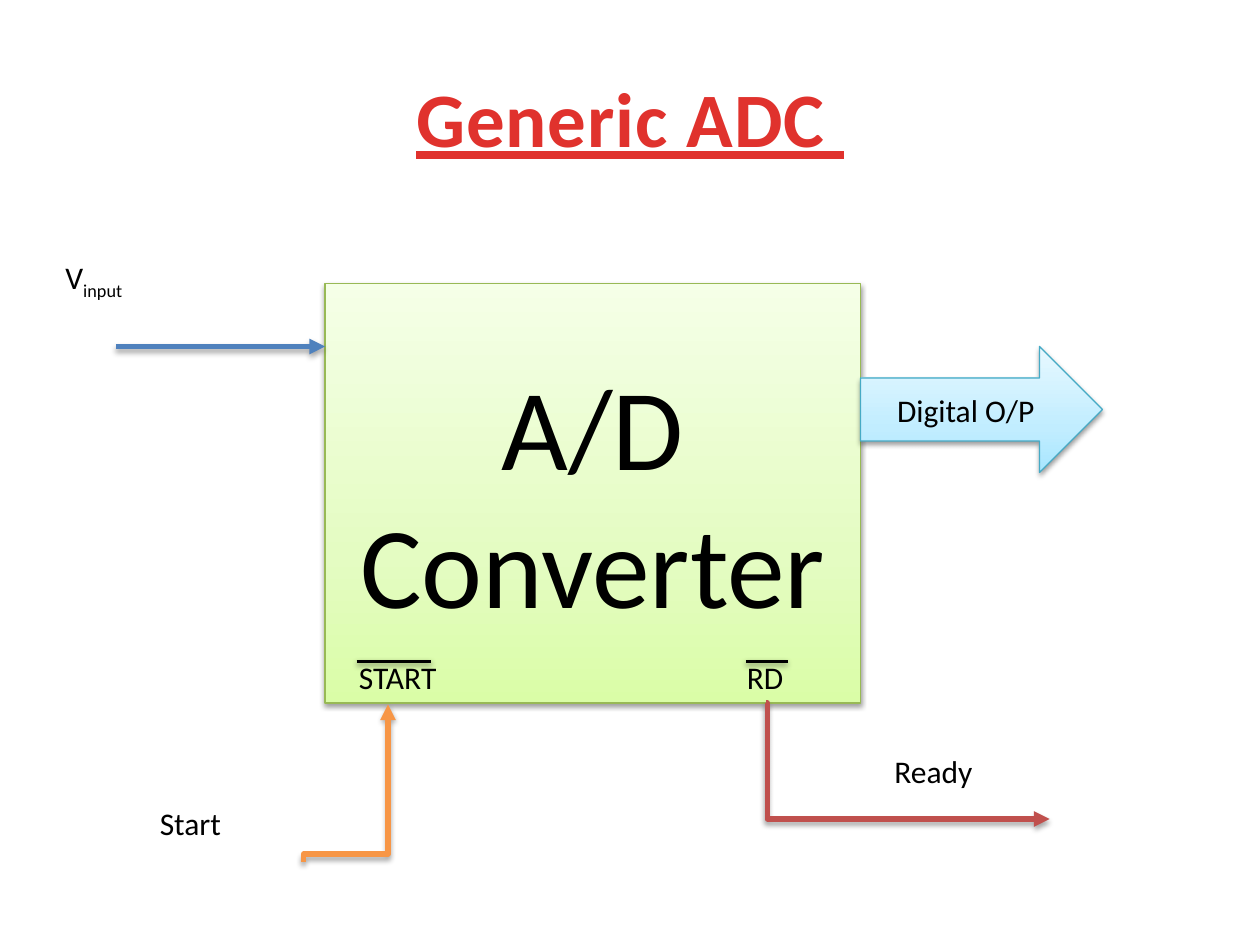
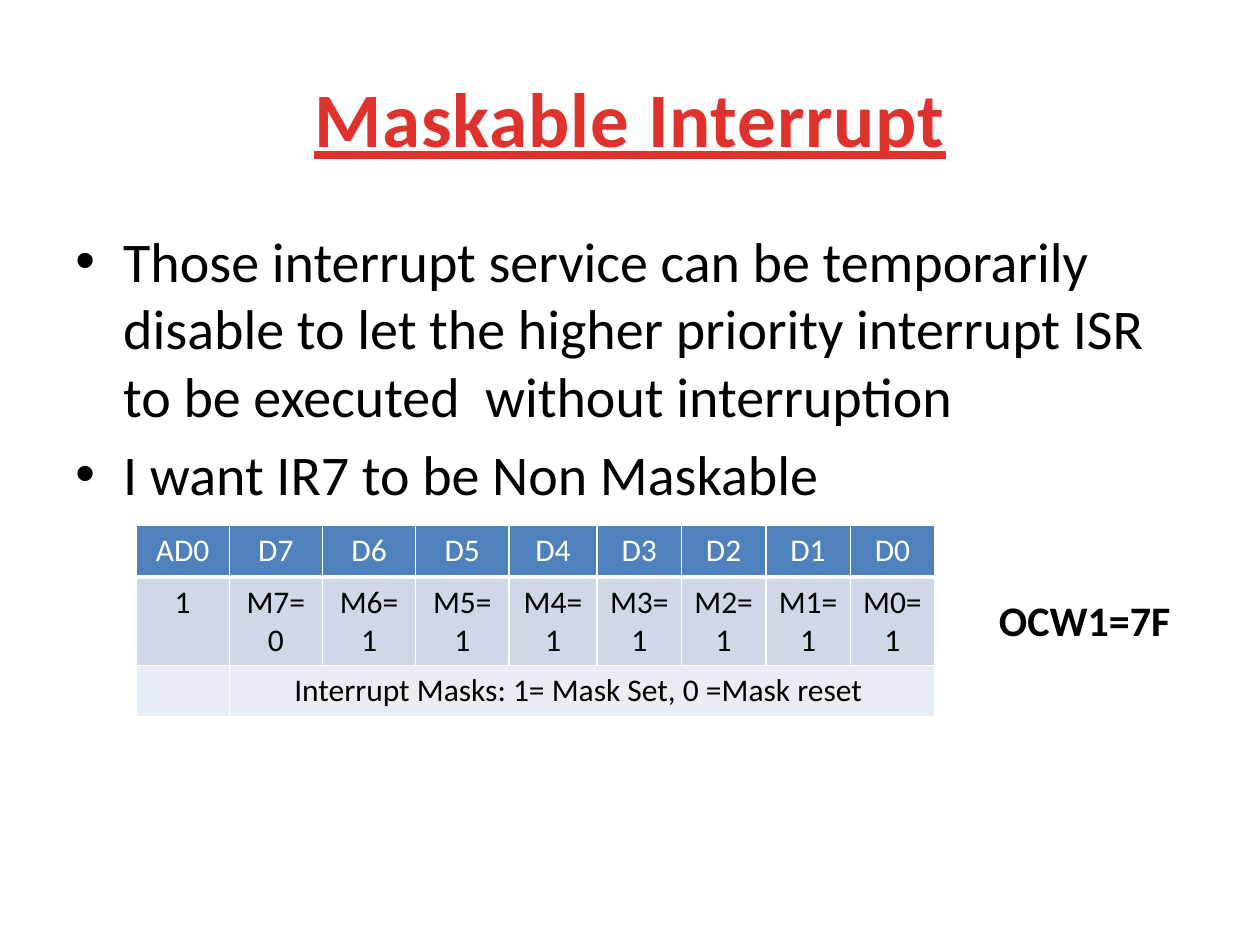
from dataclasses import dataclass

from lxml import etree
from pptx import Presentation
from pptx.dml.color import RGBColor
from pptx.enum import shapes, text
from pptx.oxml.ns import qn
from pptx.util import Inches, Pt

FONT = "Calibri"
BLACK = RGBColor(0x00, 0x00, 0x00)
WHITE = RGBColor(0xFF, 0xFF, 0xFF)
TITLE_RED = RGBColor(0xE0, 0x32, 0x2D)
BLUE = RGBColor(0x4F, 0x81, 0xBD)
RED = RGBColor(0xC0, 0x50, 0x4D)
ORANGE = RGBColor(0xF7, 0x96, 0x46)
GREEN_EDGE = RGBColor(0x98, 0xB9, 0x55)
AQUA_EDGE = RGBColor(0x46, 0xAA, 0xC5)
GREEN_STOPS = ((0, "DAFDA7"), (35, "E4FCC2"), (100, "F5FFE7"))
AQUA_STOPS = ((0, "A7E6FF"), (35, "C1EDFF"), (100, "E7F8FF"))
ROW_FILLS = (BLUE, RGBColor(0xD0, 0xD8, 0xE8), RGBColor(0xE9, 0xED, 0xF4))


@dataclass(frozen=True)
class Label:
    words: str
    left: float
    top: float
    width: float
    height: float = 0.42
    size: int = 18
    bold: bool = False
    subscript: str = ""


@dataclass(frozen=True)
class Block:
    """A gradient-filled part of the diagram."""
    kind: shapes.MSO_SHAPE
    box: tuple
    stops: tuple
    edge: RGBColor
    lines: tuple
    size: int


@dataclass(frozen=True)
class Wire:
    """A signal line; bend is the elbow's position along its box, in percent."""
    begin: tuple
    end: tuple
    color: RGBColor
    width: float = 3
    arrow: bool = True
    bend: float | None = None
    rotation: int = 0


BLOCKS = (
    Block(shapes.MSO_SHAPE.RECTANGLE, (2.58, 2.25, 4.25, 3.33),
          GREEN_STOPS, GREEN_EDGE, ("A/D", "Converter"), 66),
    Block(shapes.MSO_SHAPE.RIGHT_ARROW, (6.83, 2.75, 1.92, 1),
          AQUA_STOPS, AQUA_EDGE, ("Digital O/P",), 18),
)
SIGNALS = (
    Wire((0.92, 2.75), (2.58, 2.75), BLUE),
    Wire((6.08, 5.58), (8.33, 6.5), RED, bend=0.4),
    Wire((3.37, 6.55), (2.12, 5.88), ORANGE, bend=4.9, rotation=90),
)
OVERBARS = (
    Wire((2.83, 5.25), (3.42, 5.25), BLACK, width=2, arrow=False),
    Wire((5.92, 5.25), (6.25, 5.25), BLACK, width=2, arrow=False),
)
SIGNAL_LABELS = (
    Label("V", 0.42, 2, 1.08, subscript="input"),
    Label("Start", 1.17, 6.33, 1.17),
    Label("Ready", 7, 5.92, 0.83),
    Label("START", 2.75, 5.17, 1.17),
    Label("RD", 5.83, 5.17, 0.83),
)
BULLETS = (
    "Those interrupt service can be temporarily disable to let the higher "
    "priority interrupt ISR to be executed  without interruption",
    "I want IR7 to be Non Maskable",
)
BITS = range(7, -1, -1)
MASK_ROWS = (
    ["AD0"] + [f"D{bit}" for bit in BITS],
    ["1"] + [f"M{bit}={0 if bit == 7 else 1}" for bit in BITS],
    ["", "Interrupt Masks: 1= Mask Set, 0 =Mask reset "],
)
COLUMN_WIDTHS = [0.74] * 4 + [0.7] + [0.67] * 4
ROW_HEIGHT = 0.41


def inches(values) -> list:
    return [Inches(value) for value in values]


def add_element(parent, tag: str, **attributes):
    return etree.SubElement(parent, qn(tag),
                            {key: str(value) for key, value in attributes.items()})


def style(font, size: int, color: RGBColor = BLACK, bold: bool = False) -> None:
    font.name = FONT
    font.size = Pt(size)
    font.bold = bold
    font.color.rgb = color


def add_shadow(effects, distance: int, opacity: int) -> None:
    shadow = add_element(effects, "a:outerShdw", blurRad=40000, dist=distance,
                         dir=5400000, rotWithShape=0)
    black = add_element(shadow, "a:srgbClr", val=BLACK)
    add_element(black, "a:alpha", val=opacity * 1000)


def fill_gradient(shape, stops: tuple) -> None:
    """Fill from bottom to top with (percent, hex colour) stops."""
    shape.fill.gradient()
    gradient = shape._element.spPr.find(qn("a:gradFill"))
    for child in list(gradient):
        gradient.remove(child)
    stop_list = add_element(gradient, "a:gsLst")
    for percent, color in stops:
        stop = add_element(stop_list, "a:gs", pos=percent * 1000)
        add_element(stop, "a:srgbClr", val=color)
    add_element(gradient, "a:lin", ang=270 * 60000, scaled=0)


def add_block(slide, block: Block) -> None:
    shape = slide.shapes.add_shape(block.kind, *inches(block.box))
    fill_gradient(shape, block.stops)
    shape.line.color.rgb = block.edge
    shape.line.width = Pt(0.75)
    shape.shadow.inherit = False
    add_shadow(shape._element.spPr.find(qn("a:effectLst")), 20000, 38)
    frame = shape.text_frame
    frame.text = "\n".join(block.lines)
    frame.vertical_anchor = text.MSO_ANCHOR.MIDDLE
    for paragraph in frame.paragraphs:
        paragraph.alignment = text.PP_ALIGN.CENTER
        style(paragraph.runs[0].font, block.size)


def add_wire(slide, wire: Wire) -> None:
    kind = shapes.MSO_CONNECTOR.STRAIGHT if wire.bend is None else shapes.MSO_CONNECTOR.ELBOW
    connector = slide.shapes.add_connector(kind, *inches(wire.begin + wire.end))
    connector.line.color.rgb = wire.color
    connector.line.width = Pt(wire.width)
    properties = connector._element.spPr
    if wire.arrow:
        add_element(properties.find(qn("a:ln")), "a:tailEnd", type="triangle")
    if wire.bend is not None:
        guides = properties.find(qn("a:prstGeom")).find(qn("a:avLst"))
        add_element(guides, "a:gd", name="adj1", fmla=f"val {round(wire.bend * 1000)}")
    if wire.rotation:
        properties.find(qn("a:xfrm")).set("rot", str(wire.rotation * 60000))
    effects = add_element(properties, "a:effectLst")
    add_shadow(effects, 23000 if wire.arrow else 20000, 35 if wire.arrow else 38)


def add_text_frame(slide, box: tuple):
    frame = slide.shapes.add_textbox(*inches(box)).text_frame
    frame.word_wrap = True
    return frame


def add_label(slide, label: Label) -> None:
    frame = add_text_frame(slide, (label.left, label.top, label.width, label.height))
    frame.auto_size = text.MSO_AUTO_SIZE.SHAPE_TO_FIT_TEXT
    frame.text = label.words
    paragraph = frame.paragraphs[0]
    if label.subscript:
        subscript = paragraph.add_run()
        subscript.text = label.subscript
        subscript.font._element.set("baseline", "-25000")
    for run in paragraph.runs:
        style(run.font, label.size, bold=label.bold)


def add_titled_slide(deck, title: str):
    slide = deck.slides.add_slide(deck.slide_layouts[6])
    frame = add_text_frame(slide, (0.5, 0.3, 9, 1.25))
    frame.text = title
    frame.vertical_anchor = text.MSO_ANCHOR.MIDDLE
    paragraph = frame.paragraphs[0]
    paragraph.alignment = text.PP_ALIGN.CENTER
    font = paragraph.runs[0].font
    style(font, 44, TITLE_RED, bold=True)
    font.underline = True
    font._element.set("spc", "50")
    return slide


def add_bullets(slide) -> None:
    frame = add_text_frame(slide, (0.5, 1.75, 9, 4.95))
    frame.text = "\n".join(BULLETS)
    for index, paragraph in enumerate(frame.paragraphs):
        properties = paragraph._p.get_or_add_pPr()
        properties.set("marL", str(Inches(0.38)))
        properties.set("indent", str(-Inches(0.38)))
        add_element(properties, "a:buFont", typeface="Arial")
        add_element(properties, "a:buChar", char="•")
        if index:
            paragraph.space_before = Pt(6.4)
        style(paragraph.runs[0].font, 32)


def add_borders(cell, bottom: float) -> None:
    properties = cell._tc.get_or_add_tcPr()
    for side, width in (("L", 1), ("R", 1), ("T", 1), ("B", bottom)):
        line = add_element(properties, f"a:ln{side}", w=Pt(width))
        add_element(add_element(line, "a:solidFill"), "a:srgbClr", val=WHITE)


def add_mask_table(slide) -> None:
    row_count, column_count = len(MASK_ROWS), len(COLUMN_WIDTHS)
    box = (1.08, 4.17, sum(COLUMN_WIDTHS), ROW_HEIGHT * row_count)
    table = slide.shapes.add_table(row_count, column_count, *inches(box)).table
    table.first_row = table.horz_banding = False
    for column, width in zip(table.columns, COLUMN_WIDTHS):
        column.width = Inches(width)
    for row, (words, fill) in enumerate(zip(MASK_ROWS, ROW_FILLS)):
        table.rows[row].height = Inches(ROW_HEIGHT)
        for column in range(column_count):
            cell = table.cell(row, column)
            add_borders(cell, bottom=1 if row else 3)
            cell.fill.solid()
            cell.fill.fore_color.rgb = fill
            if column < len(words) and words[column]:
                cell.text_frame.text = words[column]
                paragraph = cell.text_frame.paragraphs[0]
                paragraph.alignment = text.PP_ALIGN.CENTER
                style(paragraph.runs[0].font, 18, BLACK if row else WHITE)
    last = row_count - 1
    table.cell(last, 1).merge(table.cell(last, column_count - 1))


def build_converter_slide(deck) -> None:
    slide = add_titled_slide(deck, "Generic ADC ")
    for block in BLOCKS:
        add_block(slide, block)
    for signal in SIGNALS:
        add_wire(slide, signal)
    for label in SIGNAL_LABELS:
        add_label(slide, label)
    for overbar in OVERBARS:
        add_wire(slide, overbar)


def build_interrupt_slide(deck) -> None:
    slide = add_titled_slide(deck, "Maskable Interrupt")
    add_bullets(slide)
    add_mask_table(slide)
    add_label(slide, Label("OCW1=7F", 7.83, 4.67, 1.58, 0.5, size=24, bold=True))


def main() -> None:
    deck = Presentation()
    deck.slide_width, deck.slide_height = Inches(10), Inches(7.5)
    build_converter_slide(deck)
    build_interrupt_slide(deck)
    deck.save("out.pptx")


if __name__ == "__main__":
    main()
